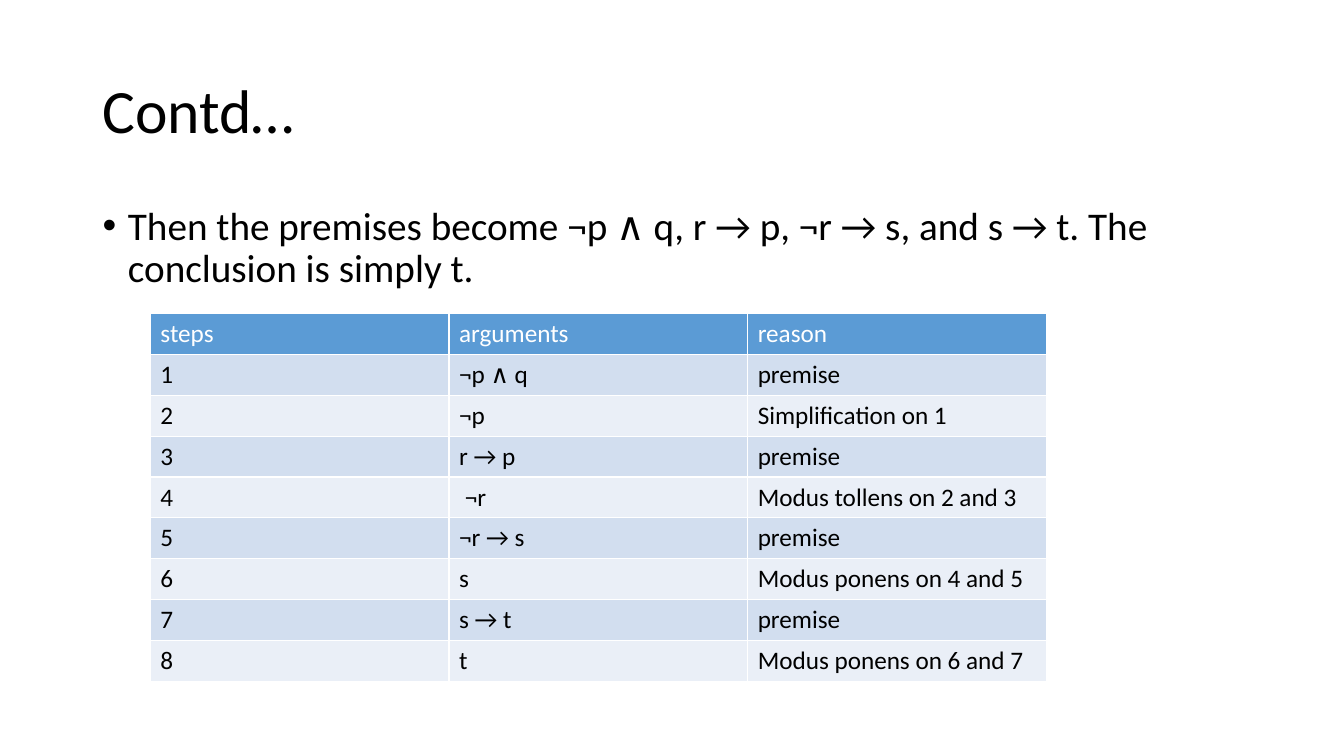
from pptx import Presentation
from pptx.dml.color import RGBColor
from pptx.enum.text import MSO_ANCHOR, MSO_AUTO_SIZE, PP_ALIGN
from pptx.util import Cm, Pt


def place(placeholder, left, top, width, height):
    placeholder.left, placeholder.top = Cm(left), Cm(top)
    placeholder.width, placeholder.height = Cm(width), Cm(height)
    placeholder.text_frame.auto_size = MSO_AUTO_SIZE.NONE


def style(paragraph, size, color):
    for run in paragraph.runs:
        run.font.name = "Calibri"
        run.font.size = Pt(size)
        run.font.bold = False
        run.font.color.rgb = RGBColor.from_string(color)


prs = Presentation()
prs.slide_width, prs.slide_height = Cm(33.87), Cm(19.05)
slide = prs.slides.add_slide(prs.slide_layouts[1])

heading = slide.shapes.title
place(heading, 2.33, 1.01, 29.21, 3.68)
heading.text_frame.text = "Contd…"
heading.text_frame.vertical_anchor = MSO_ANCHOR.MIDDLE
heading_line = heading.text_frame.paragraphs[0]
heading_line.alignment = PP_ALIGN.LEFT
heading_line.line_spacing = 0.9
style(heading_line, 44, "000000")

premises = slide.placeholders[1]
place(premises, 2.33, 5.07, 29.21, 12.09)
premises.text_frame.text = (
    "Then the premises become ¬p ∧ q, r → p, ¬r → s, and s → t. "
    "The conclusion is simply t."
)
premises_line = premises.text_frame.paragraphs[0]
premises_line.line_spacing = 0.9
premises_line.space_before = Pt(10)
bullet_indent = premises_line._p.get_or_add_pPr()
bullet_indent.set("marL", str(Cm(0.64)))
bullet_indent.set("indent", str(-Cm(0.64)))
style(premises_line, 28, "000000")

proof_steps = [
    ("steps", "arguments", "reason"),
    ("1", "¬p ∧ q", "premise"),
    ("2", "¬p", "Simplification on 1"),
    ("3", "r → p", "premise"),
    ("4", " ¬r", "Modus tollens on 2 and 3"),
    ("5", "¬r → s", "premise"),
    ("6", "s", "Modus ponens on 4 and 5"),
    ("7", "s → t", "premise"),
    ("8", "t", "Modus ponens on 6 and 7"),
]
proof = slide.shapes.add_table(
    len(proof_steps), 3, Cm(3.79), Cm(7.9), Cm(22.58), Cm(9.25)
).table

for row, step in enumerate(proof_steps):
    if row == 0:
        fill, ink = "5B9BD5", "FFFFFF"
    else:
        fill, ink = ("D2DEEF" if row % 2 else "EAEFF7"), "000000"
    for column, wording in enumerate(step):
        cell = proof.cell(row, column)
        cell.text_frame.text = wording
        cell.fill.solid()
        cell.fill.fore_color.rgb = RGBColor.from_string(fill)
        style(cell.text_frame.paragraphs[0], 18, ink)

prs.save("out.pptx")
